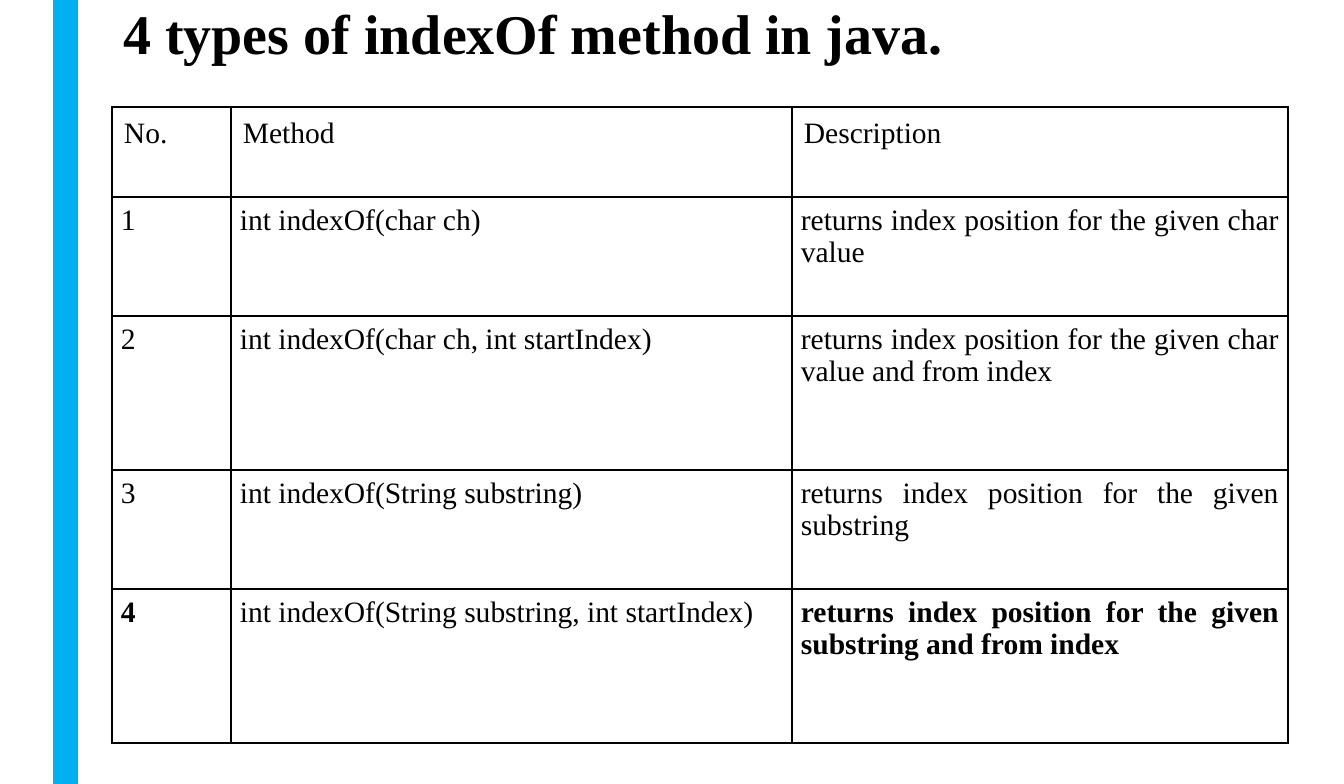
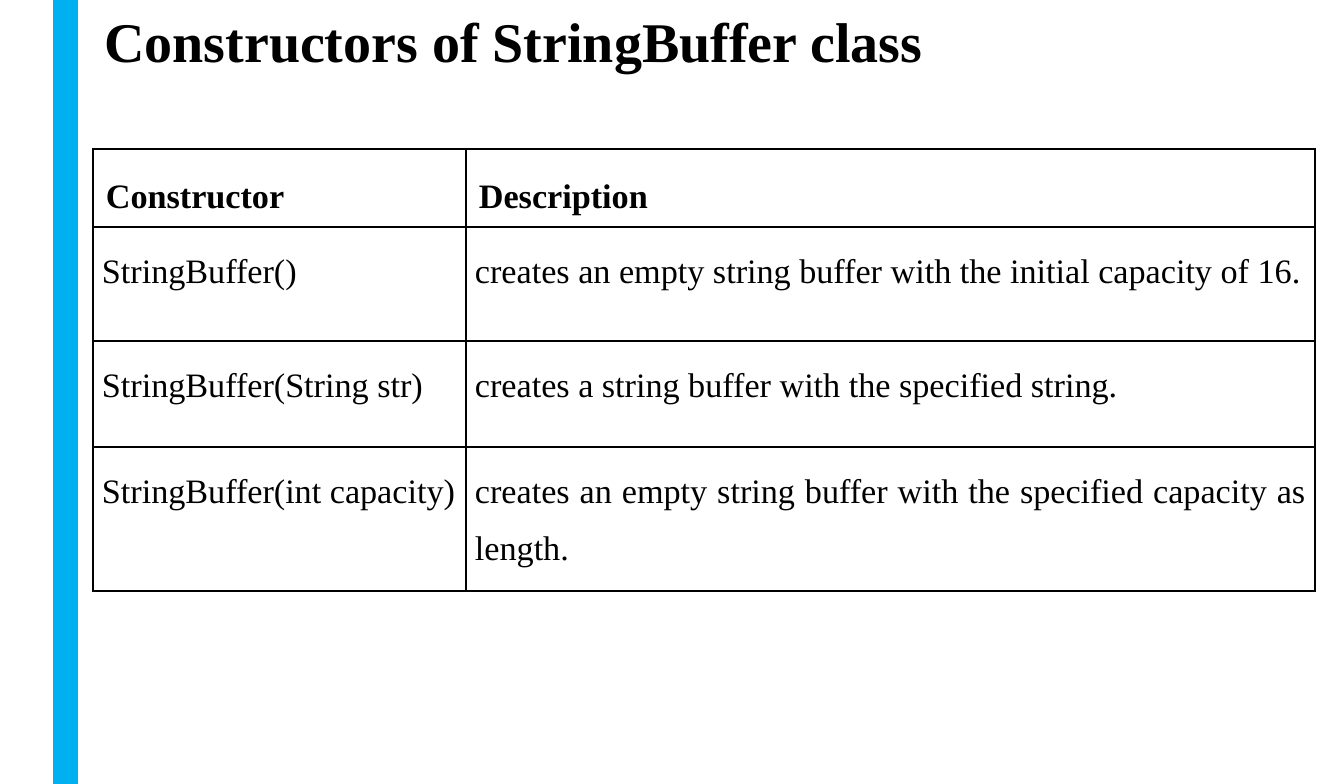
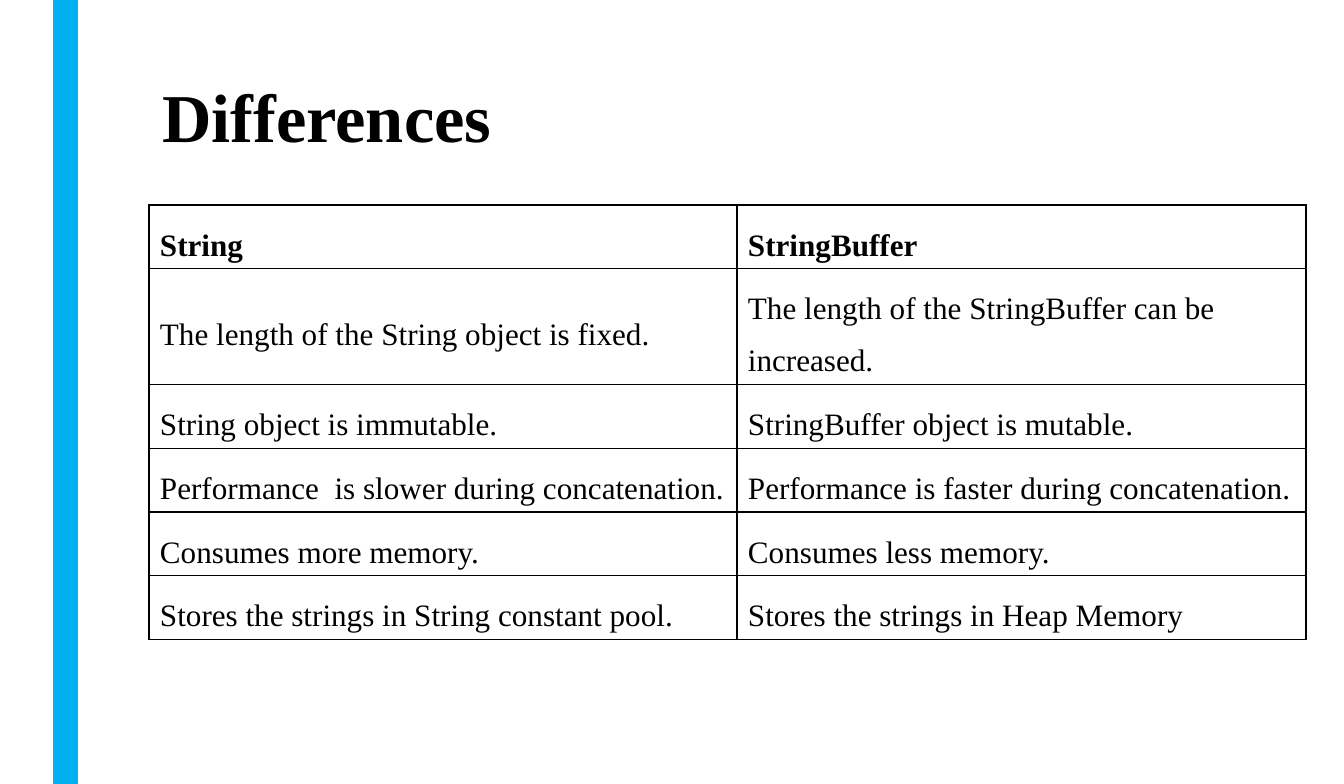
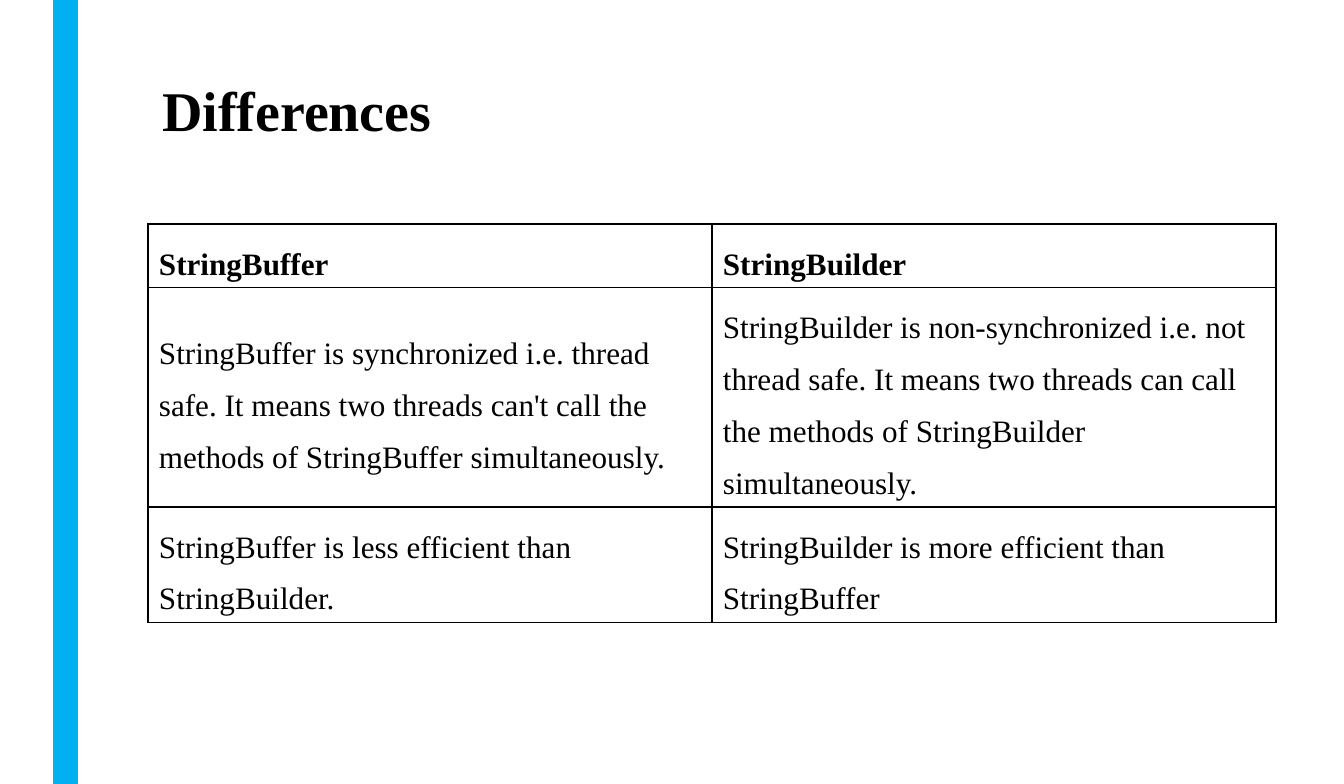
from dataclasses import dataclass

from lxml.etree import SubElement
from pptx import Presentation
from pptx.dml.color import RGBColor
from pptx.enum.shapes import MSO_SHAPE as Shape
from pptx.enum.text import MSO_ANCHOR as Anchor, MSO_AUTO_SIZE as AutoSize, PP_ALIGN as Align
from pptx.oxml.ns import qn
from pptx.util import Emu, Pt

EMU_PER_INCH = 914400
PX_PER_INCH = 112
PAGE_WIDTH, PAGE_HEIGHT = 1344, 784
FONT = "Times New Roman"
INK, PAPER, ACCENT = "000000", "FFFFFF", "00B0F0"
TITLE_SPACING = 0.89
BORDER_WIDTH = Pt(1)
BAND_ID = 99


@dataclass(frozen=True)
class Box:
    left: int
    top: int
    width: int
    height: int


@dataclass(frozen=True)
class Title:
    text: str
    box: Box
    size: int = 36
    align: Align = Align.LEFT


@dataclass(frozen=True)
class CellStyle:
    margin_x: int = 11
    margin_y: int = 6
    align: Align = Align.LEFT
    anchor: Anchor = Anchor.TOP


@dataclass(frozen=True)
class Grid:
    left: int
    top: int
    columns: tuple[int, ...]
    heights: tuple[int, ...]
    rows: tuple[tuple[str, ...], ...]
    size: int
    header: CellStyle
    body: CellStyle
    bold: frozenset[tuple[int, int]]
    spacing: float = 1.5
    fill: str = ""


@dataclass(frozen=True)
class Topic:
    title: Title
    grid: Grid


CENTERED = CellStyle(anchor=Anchor.MIDDLE)
JUSTIFIED = CellStyle(9, 7, Align.JUSTIFY)
HEADER_PAIR = frozenset({(0, 0), (0, 1)})

TOPICS = (
    Topic(
        Title("4 types of indexOf method in java.", Box(112, 1, 1058, 170), align=Align.JUSTIFY),
        Grid(
            112, 107, (119, 561, 496), (90, 119, 154, 119, 154),
            (
                ("No.", "Method", "Description"),
                ("1", "int indexOf(char ch)",
                 "returns index position for the given char value"),
                ("2", "int indexOf(char ch, int startIndex)",
                 "returns index position for the given char value and from index"),
                ("3", "int indexOf(String substring)",
                 "returns index position for the given substring"),
                ("4", "int indexOf(String substring, int startIndex)",
                 "returns index position for the given substring and from index"),
            ),
            19, CellStyle(12, 10), JUSTIFIED, frozenset({(4, 0), (4, 2)}), spacing=1.0, fill=PAPER,
        ),
    ),
    Topic(
        Title("Constructors of StringBuffer class", Box(93, 9, 1058, 78)),
        Grid(
            93, 149, (373, 849), (78, 114, 106, 144),
            (
                ("Constructor", "Description"),
                ("StringBuffer()",
                 "creates an empty string buffer with the initial capacity of 16."),
                ("StringBuffer(String str)",
                 "creates a string buffer with the specified string."),
                ("StringBuffer(int capacity)",
                 "creates an empty string buffer with the specified capacity as length."),
            ),
            22, CellStyle(13, 10), JUSTIFIED, HEADER_PAIR,
        ),
    ),
    Topic(
        Title("Differences", Box(151, 78, 1058, 127), size=44),
        Grid(
            149, 205, (588, 569), (63, 114, 63, 63, 63, 63),
            (
                ("String", "StringBuffer"),
                ("The length of the String object is fixed.",
                 "The length of the StringBuffer can be increased."),
                ("String object is immutable.", "StringBuffer object is mutable."),
                ("Performance  is slower during concatenation.",
                 "Performance is faster during concatenation."),
                ("Consumes more memory.", "Consumes less memory."),
                ("Stores the strings in String constant pool.",
                 "Stores the strings in Heap Memory"),
            ),
            20, CENTERED, CENTERED, HEADER_PAIR,
        ),
    ),
    Topic(
        Title("Differences", Box(151, 78, 1058, 99)),
        Grid(
            148, 224, (564, 564), (63, 218, 115),
            (
                ("StringBuffer", "StringBuilder"),
                ("StringBuffer is synchronized i.e. thread safe. It means two threads can't "
                 "call the methods of StringBuffer simultaneously.",
                 "StringBuilder is non-synchronized i.e. not thread safe. It means two threads "
                 "can call the methods of StringBuilder simultaneously."),
                ("StringBuffer is less efficient than StringBuilder.",
                 "StringBuilder is more efficient than StringBuffer"),
            ),
            20, CENTERED, CENTERED, HEADER_PAIR,
        ),
    ),
)


def px(length: int) -> Emu:
    return Emu(round(length * EMU_PER_INCH / PX_PER_INCH))


def color(value: str) -> RGBColor:
    return RGBColor.from_string(value)


def bounds(box: Box) -> tuple[Emu, ...]:
    return px(box.left), px(box.top), px(box.width), px(box.height)


def write(frame, text: str, *, size: int, bold: bool, align: Align, spacing: float) -> None:
    para = frame.paragraphs[0]
    para.alignment = align
    para.line_spacing = spacing
    span = para.add_run()
    span.text = text
    span.font.name = FONT
    span.font.size = Pt(size)
    span.font.bold = bold
    span.font.color.rgb = color(INK)


def add_band(page, layout) -> None:
    band = page.shapes.add_shape(Shape.RECTANGLE, *bounds(Box(53, 0, 25, PAGE_HEIGHT)))
    band.shadow.inherit = False
    band.fill.solid()
    band.fill.fore_color.rgb = color(ACCENT)
    band.line.fill.background()
    band.element.nvSpPr.cNvPr.set("id", str(BAND_ID))
    layout.shapes.element.insert(2, band.element)


def place_title(page, title: Title) -> None:
    holder = page.shapes.title
    holder.left, holder.top, holder.width, holder.height = bounds(title.box)
    frame = holder.text_frame
    frame.word_wrap = True
    frame.auto_size = AutoSize.NONE
    frame.vertical_anchor = Anchor.TOP
    write(frame, title.text, size=title.size, bold=True, align=title.align, spacing=TITLE_SPACING)


def add_borders(cell) -> None:
    properties = cell._tc.get_or_add_tcPr()
    for index, side in enumerate(("lnL", "lnR", "lnT", "lnB")):
        line = SubElement(properties, qn(f"a:{side}"), w=str(BORDER_WIDTH))
        fill = SubElement(line, qn("a:solidFill"))
        SubElement(fill, qn("a:srgbClr"), val=INK)
        properties.insert(index, line)


def format_cell(cell, style: CellStyle, fill: str) -> None:
    cell.margin_left = cell.margin_right = px(style.margin_x)
    cell.margin_top = cell.margin_bottom = px(style.margin_y)
    cell.vertical_anchor = style.anchor
    if fill:
        cell.fill.solid()
        cell.fill.fore_color.rgb = color(fill)
    else:
        cell.fill.background()
    add_borders(cell)


def add_grid(page, grid: Grid) -> None:
    box = Box(grid.left, grid.top, sum(grid.columns), sum(grid.heights))
    table = page.shapes.add_table(len(grid.heights), len(grid.columns), *bounds(box)).table
    table.first_row = table.horz_banding = False
    for column, width in zip(table.columns, grid.columns):
        column.width = px(width)
    for row, height in zip(table.rows, grid.heights):
        row.height = px(height)
    for row_index, texts in enumerate(grid.rows):
        style = grid.body if row_index else grid.header
        for column_index, text in enumerate(texts):
            cell = table.cell(row_index, column_index)
            format_cell(cell, style, grid.fill)
            write(cell.text_frame, text, size=grid.size,
                  bold=(row_index, column_index) in grid.bold,
                  align=style.align, spacing=grid.spacing)


def main() -> None:
    deck = Presentation()
    deck.slide_width, deck.slide_height = px(PAGE_WIDTH), px(PAGE_HEIGHT)
    layout = deck.slide_layouts.get_by_name("Title Only")
    for index, topic in enumerate(TOPICS):
        page = deck.slides.add_slide(layout)
        if index == 0:
            add_band(page, layout)
        place_title(page, topic.title)
        add_grid(page, topic.grid)
    deck.save("out.pptx")


if __name__ == "__main__":
    main()
